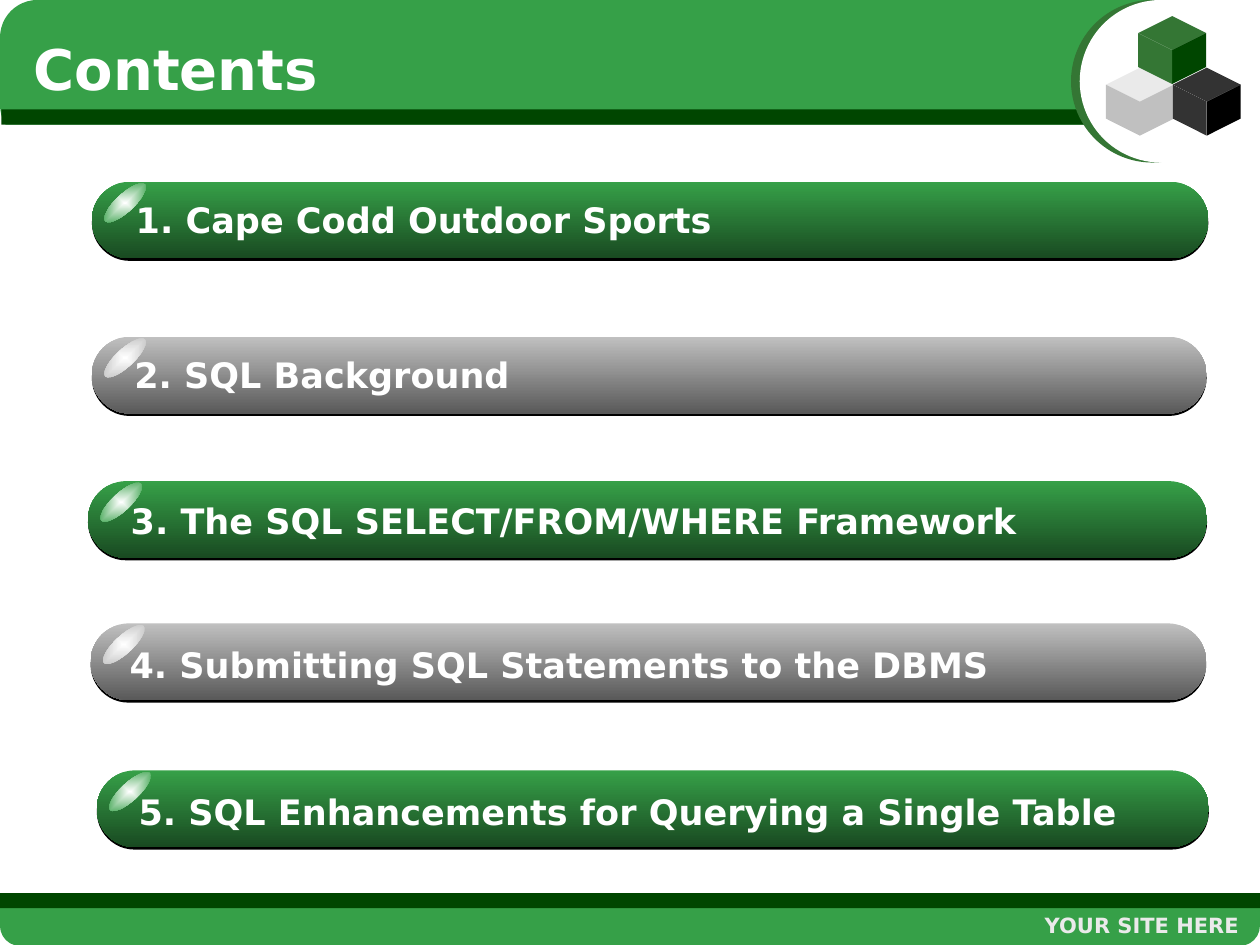
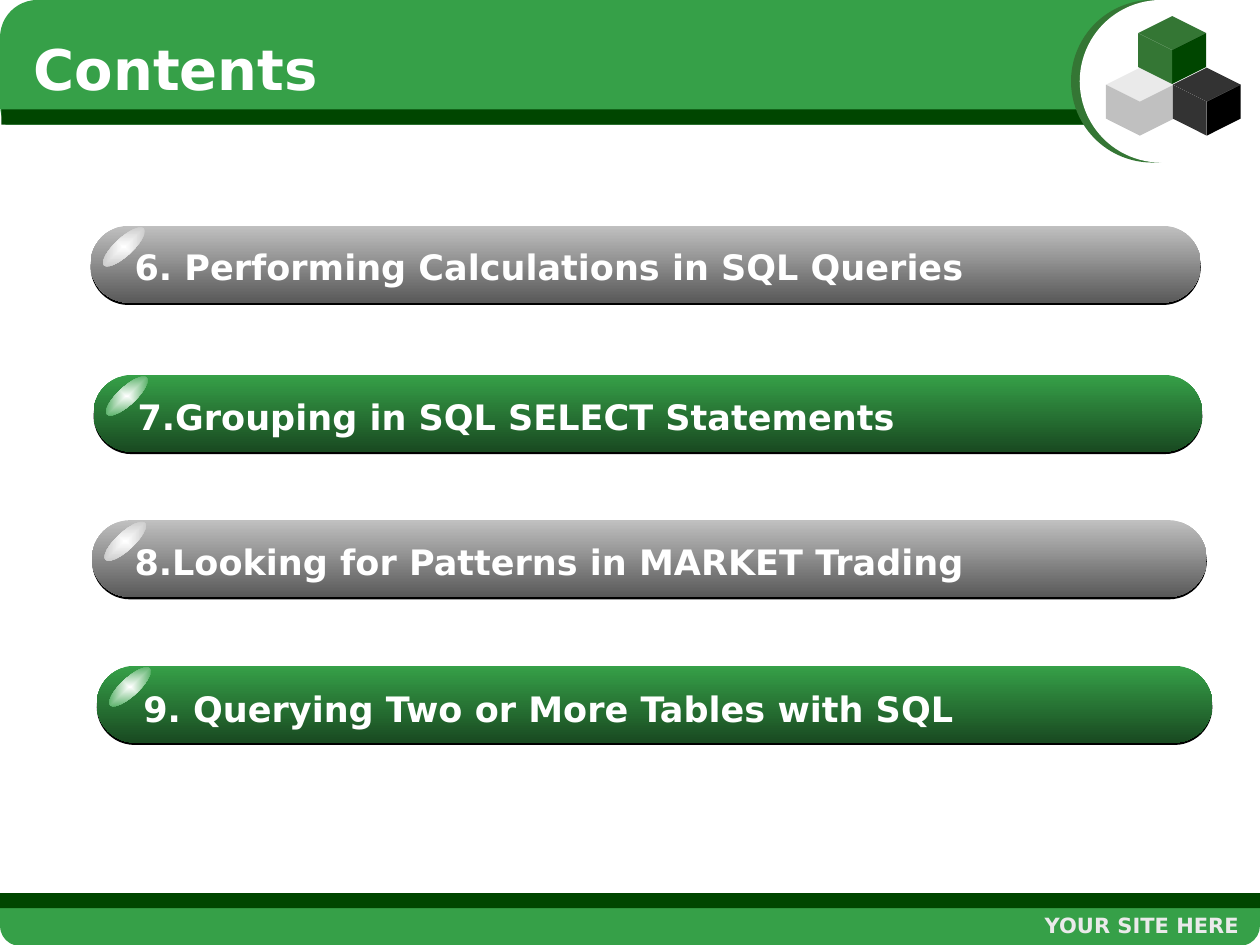
from dataclasses import dataclass

from lxml.etree import SubElement
from pptx import Presentation
from pptx.dml.color import RGBColor
from pptx.enum.shapes import MSO_SHAPE
from pptx.enum.text import MSO_ANCHOR, PP_ALIGN
from pptx.oxml.ns import qn
from pptx.util import Pt


@dataclass(frozen=True)
class Theme:
    font: str = "DejaVu Sans"
    title_size: int = 32
    item_size: int = 20
    footer_size: int = 12
    white: str = "FFFFFF"
    black: str = "000000"
    pale: str = "EAEAEA"
    silver: str = "C0C0C0"
    gray: str = "595959"
    charcoal: str = "333333"
    green: str = "36A048"
    mid_green: str = "347634"
    deep_green: str = "194A21"
    dark_green: str = "004600"


T = Theme()
WIDTH, HEIGHT = 720, 540
BAR_HEIGHT = 43.9
GREEN_BAR = (T.green, T.deep_green)
GRAY_BAR = (T.silver, T.gray)


@dataclass(frozen=True)
class Item:
    """An agenda bar; label is (left, top, width) measured from the bar."""
    text: str
    x: float
    y: float
    w: float
    label: tuple
    colors: tuple


CONTENTS = [
    [
        Item("1. Cape Codd Outdoor Sports", 52.5, 103.8, 638, (18, 5.8, 473), GREEN_BAR),
        Item("2. SQL Background", 52.5, 192.4, 637, (17.2, 5.8, 473), GRAY_BAR),
        Item("3. The SQL SELECT/FROM/WHERE Framework", 50.3, 274.9, 639.5, (17.3, 6.5, 537), GREEN_BAR),
        Item("4. Submitting SQL Statements to the DBMS", 51.8, 356.2, 637.5, (15.2, 7.5, 629), GRAY_BAR),
        Item("5. SQL Enhancements for Querying a Single Table", 55.3, 440.2, 635.5, (16.8, 7.8, 598), GREEN_BAR),
    ],
    [
        Item("6. Performing Calculations in SQL Queries", 51.8, 129, 634.4, (18, 7.2, 600), GRAY_BAR),
        Item("7.Grouping in SQL SELECT Statements", 53.5, 214.2, 633.6, (18, 8, 505), GREEN_BAR),
        Item("8.Looking for Patterns in MARKET Trading", 52.6, 297.2, 637, (17.2, 8, 597), GRAY_BAR),
        Item("9. Querying Two or More Tables with SQL", 55.3, 380.4, 637.5, (19.5, 8.4, 538), GREEN_BAR),
    ],
]


def paint(sp, color):
    sp.fill.solid()
    sp.fill.fore_color.rgb = RGBColor.from_string(color)
    sp.line.fill.background()
    sp.shadow.inherit = False


def add_shape(shapes, kind, box, color, adj=None):
    sp = shapes.add_shape(kind, *map(Pt, box))
    if adj is not None:
        sp.adjustments[0] = adj
    paint(sp, color)
    return sp


def set_gradient(sp, colors, from_center=False):
    """Blend two colours from top to bottom, or outwards from the centre."""
    sp.fill.gradient()
    for stop, color in zip(sp.fill.gradient_stops, colors):
        stop.color.rgb = RGBColor.from_string(color)
    if not from_center:
        sp.fill.gradient_angle = 270
        return
    grad = sp._element.spPr.find(qn("a:gradFill"))
    grad.remove(grad.find(qn("a:lin")))
    shade = SubElement(grad, qn("a:path"), {"path": "rect"})
    SubElement(shade, qn("a:fillToRect"), dict.fromkeys("ltrb", "50000"))


def add_text(shapes, text, box, size, color, align=PP_ALIGN.LEFT, anchor=MSO_ANCHOR.TOP):
    tf = shapes.add_textbox(*map(Pt, box)).text_frame
    tf.word_wrap = True
    tf.vertical_anchor = anchor
    p = tf.paragraphs[0]
    p.alignment = align
    r = p.add_run()
    r.text = text
    r.font.name = T.font
    r.font.size = Pt(size)
    r.font.bold = True
    r.font.color.rgb = RGBColor.from_string(color)


def add_face(shapes, points, color):
    start, *rest = [(Pt(x), Pt(y)) for x, y in points]
    builder = shapes.build_freeform(*start)
    builder.add_line_segments(rest, close=True)
    paint(builder.convert_to_shape(), color)


def add_cube(shapes, x, y, top, right, left):
    w, h, depth = 38.8, 19.4, 19.4
    add_shape(shapes, MSO_SHAPE.DIAMOND, (x, y, w, h), top)
    for side, color in ((x + w, right), (x, left)):
        middle = x + w / 2
        add_face(shapes, [(side, y + h / 2), (middle, y + h),
                          (middle, y + h + depth), (side, y + h / 2 + depth)], color)


def add_emblem(shapes, x, y):
    size = 92.9
    for dx, color in ((0, T.mid_green), (5, T.white)):
        add_shape(shapes, MSO_SHAPE.OVAL, (x + dx, y, size, size), color)
    cubes = shapes.add_group_shape().shapes
    add_cube(cubes, x + 20, y + 38.7, T.pale, T.silver, T.silver)
    add_cube(cubes, x + 58.2, y + 38.7, T.charcoal, T.black, T.charcoal)
    add_cube(cubes, x + 38.4, y + 9.2, T.mid_green, T.dark_green, T.mid_green)


def add_frame(shapes):
    """Header and footer bands, around a white body."""
    header_w, body_top, body_bottom, stripe = 674, 71.2, 510.2, 8.7
    rounded = MSO_SHAPE.ROUNDED_RECTANGLE
    add_shape(shapes, rounded, (0, 496.6, WIDTH, 44), T.green, 0.263)
    add_shape(shapes, rounded, (0, 0, header_w, 81.4), T.green, 0.263)
    add_shape(shapes, MSO_SHAPE.RECTANGLE, (0, body_bottom, WIDTH, stripe), T.dark_green)
    add_shape(shapes, MSO_SHAPE.RECTANGLE, (0, body_top, WIDTH, body_bottom - body_top), T.white)
    add_shape(shapes, MSO_SHAPE.RECTANGLE, (0.8, body_top - stripe, header_w, stripe), T.dark_green)
    add_emblem(shapes, 612, 0)
    add_text(shapes, "YOUR SITE HERE", (517, 517.7, 198, 24), T.footer_size, T.pale, PP_ALIGN.RIGHT)


def add_item(shapes, item):
    group = shapes.add_group_shape().shapes
    x, y = item.x, item.y
    pill = MSO_SHAPE.ROUNDED_RECTANGLE
    add_shape(group, pill, (x, y + 2, item.w, BAR_HEIGHT - 0.6), T.black, 0.5)
    bar = add_shape(group, pill, (x, y, item.w, BAR_HEIGHT), item.colors[0], 0.5)
    set_gradient(bar, item.colors)
    glare = add_shape(group, MSO_SHAPE.OVAL, (x + 3.5, y + 7, 31, 10.2), T.white)
    glare.rotation = 317.2
    set_gradient(glare, (T.white, item.colors[0]), from_center=True)
    dx, dy, w = item.label
    add_text(group, item.text, (x + dx, y + dy, w, 31.7), T.item_size, T.white,
             anchor=MSO_ANCHOR.MIDDLE)


def add_contents_slide(prs, items):
    shapes = prs.slides.add_slide(prs.slide_layouts[6]).shapes
    add_frame(shapes)
    add_text(shapes, "Contents", (12.2, 16, 618, 48), T.title_size, T.white)
    for item in items:
        add_item(shapes, item)


def main():
    prs = Presentation()
    prs.slide_width, prs.slide_height = Pt(WIDTH), Pt(HEIGHT)
    for items in CONTENTS:
        add_contents_slide(prs, items)
    prs.save("out.pptx")


if __name__ == "__main__":
    main()
